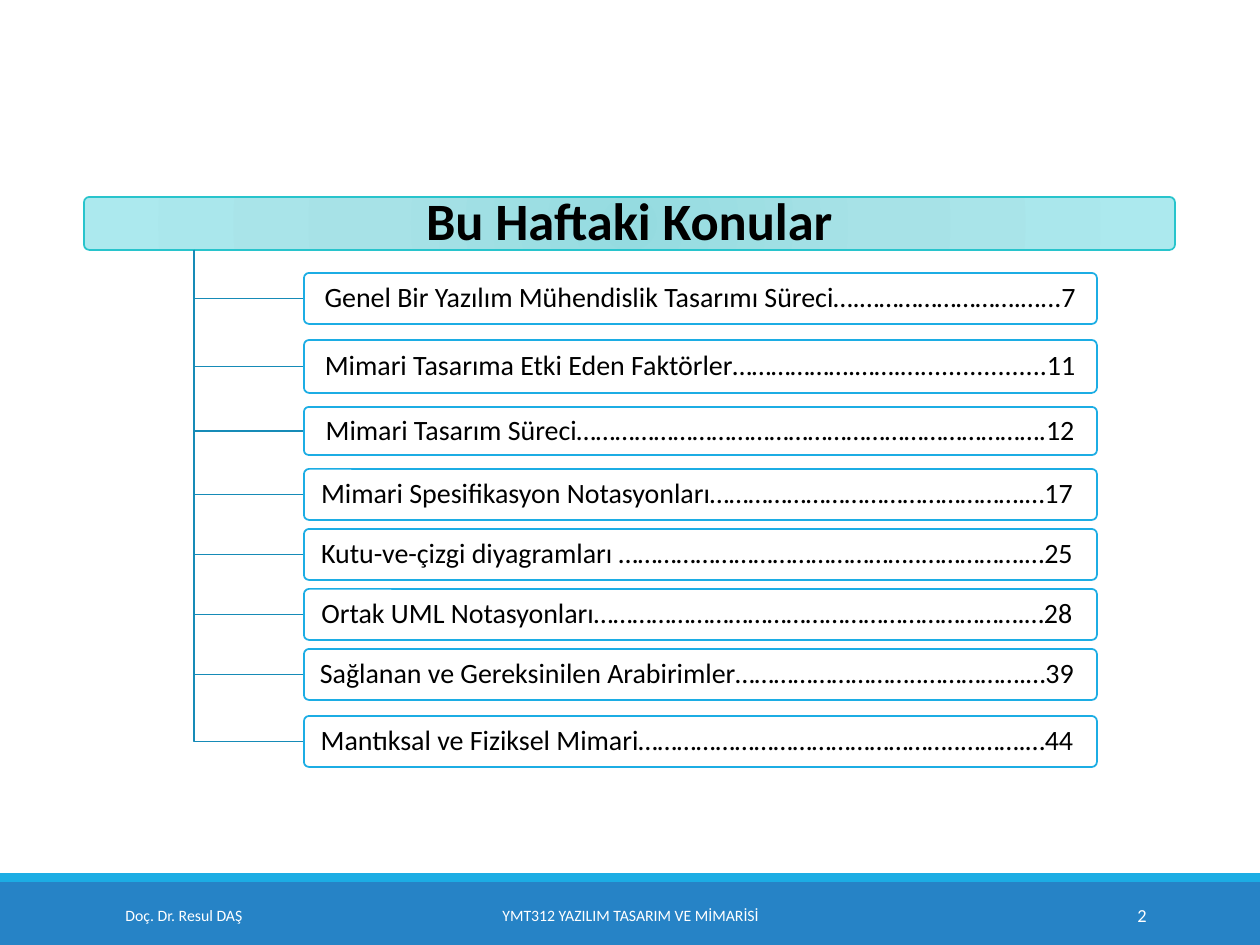
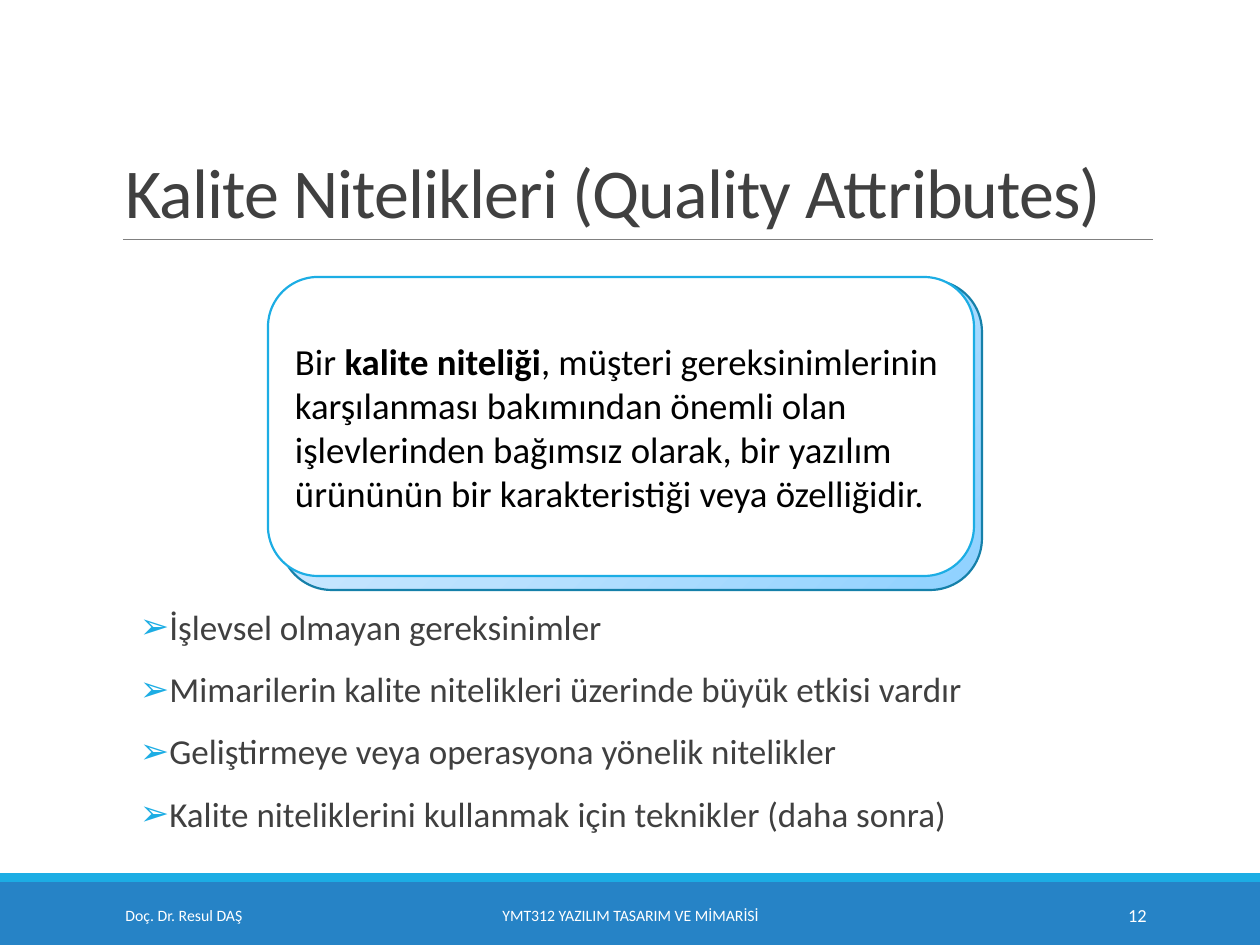
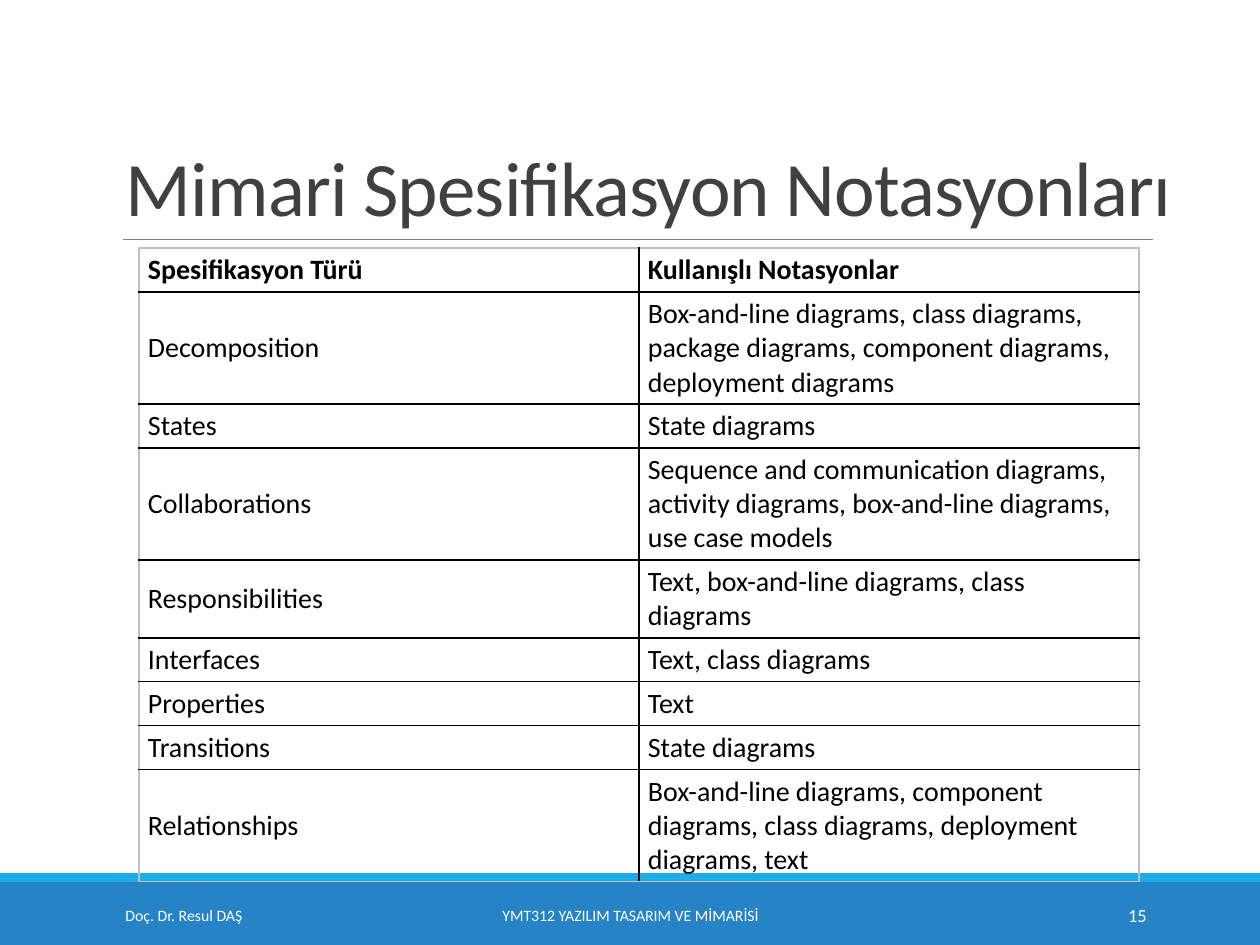
from collections import namedtuple

from lxml.etree import SubElement
from pptx import Presentation
from pptx.dml.color import RGBColor
from pptx.enum.shapes import MSO_CONNECTOR, MSO_SHAPE
from pptx.enum.text import MSO_ANCHOR as Anchor, MSO_AUTO_SIZE, PP_ALIGN as Align
from pptx.oxml.ns import qn
from pptx.util import Emu, Pt

FONT = "Calibri"
WHITE = RGBColor(0xFF, 0xFF, 0xFF)
BLACK = RGBColor(0x00, 0x00, 0x00)
DARK = RGBColor(0x40, 0x40, 0x40)
RULE_GREY = RGBColor(0x80, 0x80, 0x80)
EDGE_GREY = RGBColor(0xC0, 0xC0, 0xC0)
BAND_BLUE = RGBColor(0x26, 0x83, 0xC6)
ACCENT = RGBColor(0x1C, 0xAD, 0xE4)
BRANCH_BLUE = RGBColor(0x16, 0x8B, 0xB7)
BACK_EDGE = RGBColor(0x15, 0x80, 0xA9)
HEADER_EDGE = RGBColor(0x28, 0xC4, 0xCC)
HEADER_STOPS = [(0, RGBColor(0x95, 0xDB, 0xE0)), (45, RGBColor(0xA7, 0xE2, 0xE7)),
                (100, RGBColor(0xAC, 0xE9, 0xEE))]
BACK_STOPS = [(0, RGBColor(0x8F, 0xD1, 0xFF)), (50, RGBColor(0xBA, 0xE1, 0xFF)),
              (100, RGBColor(0xDD, 0xEF, 0xFF))]

TITLE_ONLY, TITLE_AND_BODY, BLANK = 5, 1, 6
LECTURER = "Doç. Dr. Resul DAŞ"
COURSE = "YMT312 YAZILIM TASARIM VE MİMARİSİ"

Box = namedtuple("Box", "left top width height")
PAGE = Box(0, 0, 1260, 945)

TOPICS = [
    ("Genel Bir Yazılım Mühendislik Tasarımı Süreci….…………………….…...7", 76, 51),
    ("Mimari Tasarıma Etki Eden Faktörler……………….…….…..................11", 143, 53),
    ("Mimari Tasarım Süreci……………………………………………………………….12", 210, 48),
    ("Mimari Spesifikasyon Notasyonları………………………………………….…17 ", 272, 51),
    ("Kutu-ve-çizgi diyagramları ………………………………………..…………….…25 ", 332, 51),
    ("Ortak UML Notasyonları………………………………………………………….…28 ", 392, 51),
    ("Sağlanan ve Gereksinilen Arabirimler………………………..…………….…39 ", 452, 51),
    ("Mantıksal ve Fiziksel Mimari…………………………………………..……….…44 ", 519, 51),
]
DEFINITION = [
    ("Bir ", False),
    ("kalite niteliği", True),
    (", müşteri gereksinimlerinin karşılanması bakımından önemli olan işlevlerinden "
     "bağımsız olarak, bir yazılım ürününün bir karakteristiği veya özelliğidir.", False),
]
QUALITIES = [
    "İşlevsel olmayan gereksinimler",
    "Mimarilerin kalite nitelikleri üzerinde büyük etkisi vardır",
    "Geliştirmeye veya operasyona yönelik nitelikler",
    "Kalite niteliklerini kullanmak için teknikler (daha sonra)",
]
NOTATIONS = [
    ("Spesifikasyon Türü", "Kullanışlı Notasyonlar", 1),
    ("Decomposition", "Box-and-line diagrams, class diagrams, package diagrams, "
     "component diagrams, deployment diagrams", 3),
    ("States", "State diagrams", 1),
    ("Collaborations", "Sequence and communication diagrams, activity diagrams, "
     "box-and-line diagrams, use case models", 3),
    ("Responsibilities", "Text, box-and-line diagrams, class diagrams", 2),
    ("Interfaces", "Text, class diagrams", 1),
    ("Properties", "Text", 1),
    ("Transitions", "State diagrams", 1),
    ("Relationships", "Box-and-line diagrams, component diagrams, class diagrams, "
     "deployment diagrams, text", 3),
]


def px(length):
    """Turn pixels into EMU."""
    return Emu(round(length * 914400 / 126))


def emu(box):
    """Turn a box in pixels into EMU lengths."""
    return [px(length) for length in box]


def place(shape, box):
    """Move a shape to a box."""
    shape.left, shape.top, shape.width, shape.height = emu(box)


def write(paragraph, text, size, color, bold=False):
    """Add one formatted run."""
    run = paragraph.add_run()
    run.text = text
    run.font.name = FONT
    run.font.size = Pt(size)
    run.font.bold = bold
    run.font.color.rgb = color
    return run


def set_margins(holder, side, end):
    """Set the inner margins of a text frame or cell."""
    holder.margin_left = holder.margin_right = px(side)
    holder.margin_top = holder.margin_bottom = px(end)


def set_gradient(shape, stops, shade, **settings):
    """Fill a shape with colour stops and a path or linear shade."""
    shape.fill.gradient()
    gradient = shape.fill._xPr.find(qn("a:gradFill"))
    for child in list(gradient):
        gradient.remove(child)
    stop_list = SubElement(gradient, qn("a:gsLst"))
    for position, color in stops:
        stop = SubElement(stop_list, qn("a:gs"), pos=str(position * 1000))
        SubElement(stop, qn("a:srgbClr"), val=str(color))
    return SubElement(gradient, qn(shade), **settings)


def add_panel(slide, kind, box, fill=None, edge=None, weight=1, corner=None):
    """Add a flat shape with an optional fill and outline."""
    panel = slide.shapes.add_shape(kind, *emu(box))
    panel.shadow.inherit = False
    if corner is not None:
        panel.adjustments[0] = corner
    if fill is not None:
        panel.fill.solid()
        panel.fill.fore_color.rgb = fill
    if edge is None:
        panel.line.fill.background()
    else:
        panel.line.color.rgb = edge
        panel.line.width = Pt(weight)
    return panel


def label_bar(bar, text, size, bold=False):
    """Centre one line of text in a bar."""
    frame = bar.text_frame
    frame.word_wrap = True
    frame.vertical_anchor = Anchor.MIDDLE
    set_margins(frame, 6, 4)
    paragraph = frame.paragraphs[0]
    paragraph.alignment = Align.CENTER
    paragraph.line_spacing = 0.9
    write(paragraph, text, size, BLACK, bold)


def add_footer(slide, page, number):
    """Draw the bands at the foot of the page and their three texts."""
    bottom = page.top + page.height
    add_panel(slide, MSO_SHAPE.RECTANGLE, Box(page.left, bottom - 63, page.width, 63), BAND_BLUE)
    add_panel(slide, MSO_SHAPE.RECTANGLE, Box(page.left, bottom - 72, page.width, 9), ACCENT)
    for left, width, text, size, align in (
        (113, 256, LECTURER, 9, Align.LEFT),
        (381, 499, COURSE, 9, Align.CENTER),
        (1023, 136, number, 10.5, Align.RIGHT),
    ):
        field = slide.shapes.add_textbox(*emu(Box(page.left + left, bottom - 55, width, 50)))
        frame = field.text_frame
        frame.word_wrap = True
        frame.vertical_anchor = Anchor.MIDDLE
        frame.paragraphs[0].alignment = align
        write(frame.paragraphs[0], text, size, WHITE)


def start_slide(deck, layout, number):
    """Add a slide with the shared footer."""
    slide = deck.slides.add_slide(deck.slide_layouts[layout])
    add_footer(slide, PAGE, number)
    return slide


def set_title(slide, box, text, size):
    """Fill the title placeholder and rule a line under it."""
    title = slide.shapes.title
    place(title, box)
    frame = title.text_frame
    frame.auto_size = MSO_AUTO_SIZE.NONE
    frame.vertical_anchor = Anchor.BOTTOM
    paragraph = frame.paragraphs[0]
    paragraph.alignment = Align.LEFT
    paragraph.line_spacing = 0.85
    run = write(paragraph, text, size, DARK)
    run.font._element.set("spc", "-50")
    left, bottom = box.left + 10, box.top + box.height
    rule = slide.shapes.add_connector(
        MSO_CONNECTOR.STRAIGHT, px(left), px(bottom), px(left + 1030), px(bottom))
    rule.line.color.rgb = RULE_GREY
    rule.line.width = Pt(0.5)
    SubElement(rule._element.spPr, qn("a:effectLst"))


def add_branch(slide, trunk, top, end, middle):
    """Draw an angled line from the header down and across to a topic."""
    builder = slide.shapes.build_freeform(px(trunk), px(top))
    builder.add_line_segments([(px(trunk), px(middle)), (px(end), px(middle))], close=False)
    branch = builder.convert_to_shape()
    branch.shadow.inherit = False
    branch.fill.background()
    branch.line.color.rgb = BRANCH_BLUE
    branch.line.width = Pt(1)


def add_agenda(slide, box):
    """Draw the header bar with its tree of topics."""
    header = Box(box.left, box.top, box.width, 53)
    bar = add_panel(slide, MSO_SHAPE.ROUNDED_RECTANGLE, header, edge=HEADER_EDGE, corner=0.1)
    shade = set_gradient(bar, HEADER_STOPS, "a:path", path="circle")
    SubElement(shade, qn("a:fillToRect"), **dict.fromkeys("ltrb", "100000"))
    label_bar(bar, "Bu Haftaki Konular", 30, bold=True)
    for text, offset, height in TOPICS:
        topic = Box(box.left + 220, box.top + offset, 793, height)
        add_branch(slide, box.left + 110, header.top + header.height,
                   topic.left, topic.top + height / 2)
        bar = add_panel(slide, MSO_SHAPE.ROUNDED_RECTANGLE, topic, WHITE, ACCENT, corner=0.1)
        label_bar(bar, text, 16)


def add_definition(slide, box):
    """Draw the definition card in front of its shaded back card."""
    back = add_panel(slide, MSO_SHAPE.ROUNDED_RECTANGLE,
                     Box(box.left + 12, box.top + 3, box.width - 4, box.height + 11),
                     edge=BACK_EDGE, weight=1.25)
    set_gradient(back, BACK_STOPS, "a:lin", ang=str(225 * 60000), scaled="0")
    card = add_panel(slide, MSO_SHAPE.ROUNDED_RECTANGLE, box, WHITE, ACCENT, 1.25)
    frame = card.text_frame
    frame.word_wrap = True
    frame.vertical_anchor = Anchor.MIDDLE
    paragraph = frame.paragraphs[0]
    paragraph.alignment = Align.LEFT
    for text, bold in DEFINITION:
        write(paragraph, text, 21, BLACK, bold)


def add_bullet(paragraph):
    """Give a paragraph an arrow bullet and a hanging indent."""
    properties = paragraph._p.get_or_add_pPr()
    properties.set("marL", str(px(13)))
    properties.set("indent", str(px(-13)))
    color = SubElement(properties, qn("a:buClr"))
    SubElement(color, qn("a:srgbClr"), val=str(ACCENT))
    SubElement(properties, qn("a:buChar"), char="➢")


def set_qualities(slide, box):
    """Fill the body placeholder with the bulleted list."""
    body = slide.placeholders[1]
    place(body, box)
    frame = body.text_frame
    frame.auto_size = MSO_AUTO_SIZE.NONE
    frame.vertical_anchor = Anchor.TOP
    set_margins(frame, 0, 6)
    for index, text in enumerate(QUALITIES):
        paragraph = frame.add_paragraph() if index else frame.paragraphs[0]
        add_bullet(paragraph)
        paragraph.line_spacing = 0.9
        paragraph.space_before = Pt(12 if index else 0)
        paragraph.space_after = Pt(2)
        write(paragraph, text, 20, DARK)


def set_borders(cell, colors):
    """Draw the left, right, top and bottom borders of a cell."""
    properties = cell._tc.get_or_add_tcPr()
    for side, color in zip("LRTB", colors):
        border = SubElement(properties, qn(f"a:ln{side}"), w=str(Pt(1)))
        fill = SubElement(border, qn("a:solidFill"))
        SubElement(fill, qn("a:srgbClr"), val=str(color))


def add_notations(slide, box):
    """Draw the table of specification types and notations."""
    last_row, last_column = len(NOTATIONS) - 1, 1
    table = slide.shapes.add_table(last_row + 1, last_column + 1, *emu(box)).table
    table.first_row = table.horz_banding = False
    for column in table.columns:
        column.width = px(box.width / 2)
    for row, (kind, notations, lines) in enumerate(NOTATIONS):
        table.rows[row].height = px(10 + 34 * lines)
        for column, text in enumerate((kind, notations)):
            cell = table.cell(row, column)
            at_edge = (column == 0, column == last_column, row == 0, row == last_row)
            set_borders(cell, [EDGE_GREY if edge else BLACK for edge in at_edge])
            cell.fill.background()
            set_margins(cell, 9, 5)
            cell.vertical_anchor = Anchor.MIDDLE if row and column == 0 else Anchor.TOP
            write(cell.text_frame.paragraphs[0], text, 16, BLACK, bold=row == 0)


def main():
    """Build the three slides and save them."""
    deck = Presentation()
    deck.slide_width, deck.slide_height = px(PAGE.width), px(PAGE.height)

    agenda = start_slide(deck, BLANK, "2")
    add_agenda(agenda, Box(84, 197, 1091, 570))

    quality = start_slide(deck, TITLE_AND_BODY, "12")
    set_title(quality, Box(113, 39, 1040, 200), "Kalite Nitelikleri (Quality Attributes)", 40)
    set_qualities(quality, Box(140, 604, 1086, 255))
    add_definition(quality, Box(268, 277, 706, 299))

    notation = start_slide(deck, TITLE_ONLY, "15")
    set_title(notation, Box(113, 39, 1074, 200), "Mimari Spesifikasyon Notasyonları", 44)
    add_notations(notation, Box(139, 248, 1000, 634))

    deck.save("out.pptx")


if __name__ == "__main__":
    main()
